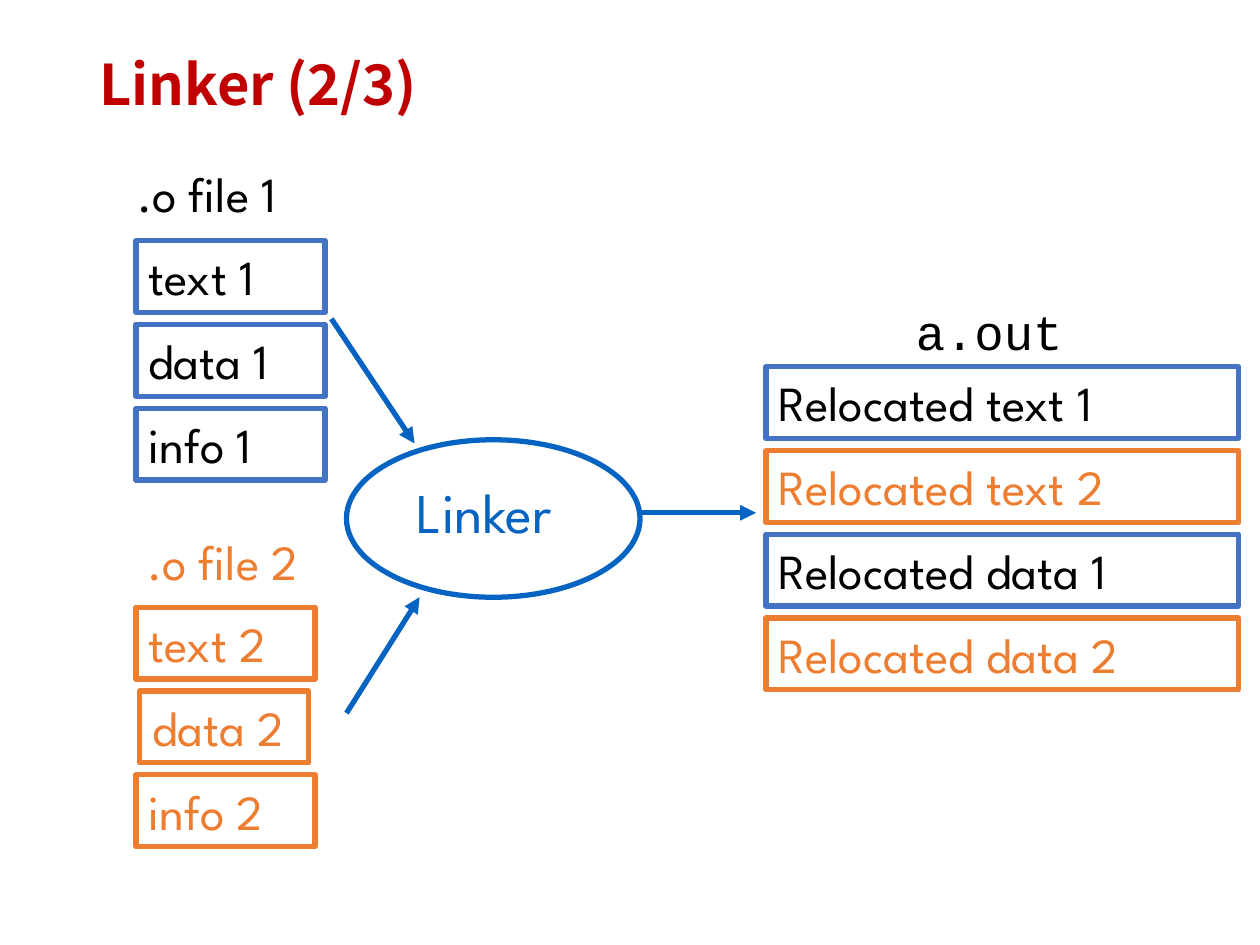
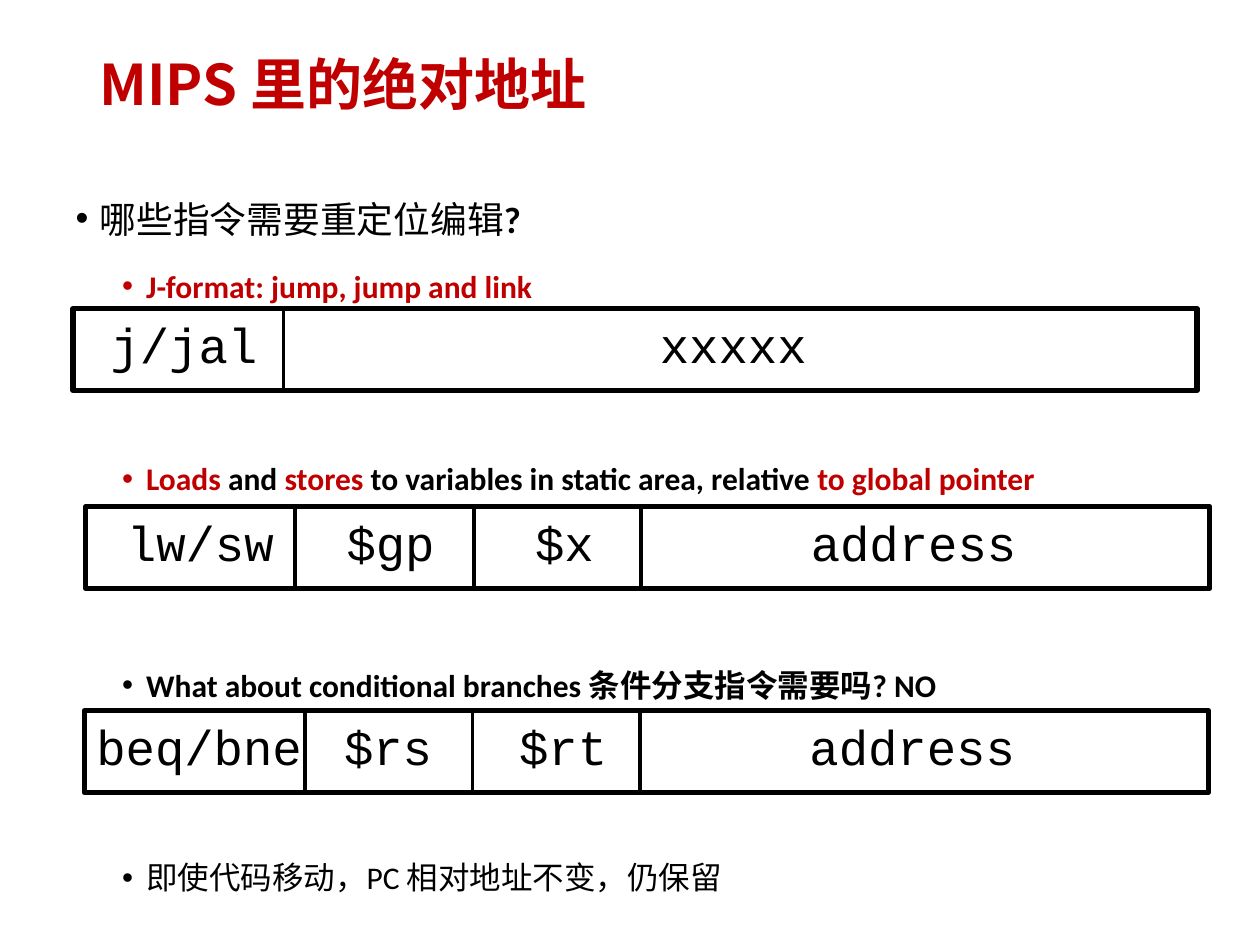
from lxml.etree import SubElement
from pptx import Presentation
from pptx.dml.color import RGBColor
from pptx.enum.shapes import MSO_CONNECTOR, MSO_SHAPE
from pptx.enum.text import MSO_ANCHOR, MSO_AUTO_SIZE, PP_ALIGN
from pptx.oxml.ns import qn
from pptx.util import Inches, Pt

BLACK = RGBColor(0x00, 0x00, 0x00)
RED = RGBColor(0xC0, 0x00, 0x00)
BLUE = RGBColor(0x44, 0x72, 0xC4)
ORANGE = RGBColor(0xED, 0x7D, 0x31)
LINK_BLUE = RGBColor(0x05, 0x63, 0xC1)

TITLE_FONT = "Noto Sans CJK SC"
BODY_FONT = "Calibri"
LABEL_FONT = "League Spartan"
CODE_FONT = "Courier New"

TITLE_ONLY, TITLE_AND_CONTENT = 5, 1
BOX_HEIGHT = 0.57
BOX_STEP = 0.665
FORMAT_WIDTH, FORMAT_HEIGHT = 8.92, 0.65
CODE_CHARACTER_WIDTH = 0.233


def set_attributes(target, values):
    for name, value in values.items():
        setattr(target, name, value)


def place(shape, left, top, width, height):
    set_attributes(shape, {"left": Inches(left), "top": Inches(top),
                           "width": Inches(width), "height": Inches(height)})


def add_span(para, text, size, font, color, bold=False):
    span = para.add_run()
    span.text = text
    set_attributes(span.font, {"size": Pt(size), "name": font, "bold": bold})
    span.font.color.rgb = color
    SubElement(span.font._element, qn("a:ea"), typeface=font)


def write_text(shape, text, size, font, color, align=PP_ALIGN.LEFT, wrap=True):
    frame = shape.text_frame
    set_attributes(frame, {"word_wrap": wrap, "auto_size": MSO_AUTO_SIZE.NONE,
                           "vertical_anchor": MSO_ANCHOR.TOP})
    para = frame.paragraphs[0]
    para.alignment = align
    add_span(para, text, size, font, color)


def add_page(deck, layout, title_text):
    page = deck.slides.add_slide(deck.slide_layouts[layout])
    title = page.shapes.title
    place(title, 0.69, 0.38, 8.63, 0.62)
    set_attributes(title.text_frame, {"auto_size": MSO_AUTO_SIZE.NONE,
                                      "vertical_anchor": MSO_ANCHOR.MIDDLE})
    para = title.text_frame.paragraphs[0]
    set_attributes(para, {"alignment": PP_ALIGN.LEFT, "line_spacing": 0.9})
    add_span(para, title_text, 32, TITLE_FONT, RED, True)
    return page


def add_label(page, text, left, top, width, size=28, font=LABEL_FONT,
              color=BLACK, align=PP_ALIGN.LEFT, wrap=True, height=BOX_HEIGHT):
    label = page.shapes.add_textbox(Inches(left), Inches(top),
                                    Inches(width), Inches(height))
    write_text(label, text, size, font, color, align, wrap)


def add_outline(page, kind, left, top, width, height, color):
    shape = page.shapes.add_shape(kind, Inches(left), Inches(top),
                                  Inches(width), Inches(height))
    shape.shadow.inherit = False
    shape.fill.background()
    shape.line.color.rgb = color
    shape.line.width = Pt(3)
    return shape


def add_section(page, text, left, top, width, line_color, text_color):
    box = add_outline(page, MSO_SHAPE.RECTANGLE, left, top, width,
                      BOX_HEIGHT, line_color)
    write_text(box, text, 28, LABEL_FONT, text_color)


def add_line(page, start, end, color, width, arrow=False):
    line = page.shapes.add_connector(
        MSO_CONNECTOR.STRAIGHT, *(Inches(value) for value in start + end))
    line.line.color.rgb = color
    line.line.width = Pt(width)
    if arrow:
        SubElement(line.line._get_or_add_ln(), qn("a:tailEnd"), type="triangle")
    SubElement(line._element.spPr, qn("a:effectLst"))


def add_bullet(para, level, before, bullet_color, spans):
    size = 18 if level else 21
    set_attributes(para, {"level": level, "line_spacing": 1.25,
                          "space_before": Pt(before), "space_after": Pt(6),
                          "alignment": PP_ALIGN.LEFT})
    properties = para._p.get_or_add_pPr()
    properties.set("marL", str(Inches(0.56 if level else 0.19)))
    properties.set("indent", str(Inches(-0.19)))
    SubElement(SubElement(properties, qn("a:buClr")), qn("a:srgbClr"),
               val=str(bullet_color))
    SubElement(properties, qn("a:buFont"), typeface="Arial")
    SubElement(properties, qn("a:buChar"), char="•")
    for text, color, bold in spans:
        add_span(para, text, size, BODY_FONT, color, bold)


def add_instruction_format(page, left, top, fields, dividers):
    add_outline(page, MSO_SHAPE.RECTANGLE, left, top, FORMAT_WIDTH,
                FORMAT_HEIGHT, BLACK)
    for text, center in fields:
        width = len(text) * CODE_CHARACTER_WIDTH + 0.2
        add_label(page, text, center - width / 2, top, width,
                  font=CODE_FONT, align=PP_ALIGN.CENTER, wrap=False)
    for x in dividers:
        add_line(page, (x, top), (x, top + FORMAT_HEIGHT), BLACK, 2.25)


def build_linker_page(deck):
    page = add_page(deck, TITLE_ONLY, "Linker (2/3)")

    add_label(page, ".o file 1", 0.99, 1.25, 1.51)
    for row, name in enumerate(("text 1", "data 1", "info 1")):
        add_section(page, name, 1.08, 1.91 + row * BOX_STEP, 1.5, BLUE, BLACK)

    add_label(page, ".o file 2", 1.07, 4.17, 1.51, color=ORANGE)
    second_file = (("text 2", 1.08, 1.42), ("data 2", 1.11, 1.34),
                   ("info 2", 1.08, 1.42))
    for row, (name, left, width) in enumerate(second_file):
        add_section(page, name, left, 4.82 + row * BOX_STEP, width,
                    ORANGE, ORANGE)

    add_label(page, "Linker", 3.21, 3.74, 1.49, 32, color=LINK_BLUE, height=0.64)
    add_outline(page, MSO_SHAPE.OVAL, 2.75, 3.49, 2.33, 1.25, LINK_BLUE)
    for start, end in (((2.63, 2.53), (3.29, 3.52)),
                       ((2.75, 5.66), (3.33, 4.74)),
                       ((5.08, 4.07), (6, 4.07))):
        add_line(page, start, end, LINK_BLUE, 3, arrow=True)

    add_label(page, "a.out", 7.17, 2.34, 1.36, font=CODE_FONT, wrap=False)
    relocated = (("text 1", BLUE, BLACK), ("text 2", ORANGE, ORANGE),
                 ("data 1", BLUE, BLACK), ("data 2", ORANGE, ORANGE))
    for row, (name, line_color, text_color) in enumerate(relocated):
        add_section(page, f"Relocated {name}", 6.08, 2.91 + row * BOX_STEP,
                    3.75, line_color, text_color)


def build_address_page(deck):
    page = add_page(deck, TITLE_AND_CONTENT, "MIPS 里的绝对地址")
    body = page.placeholders[1]
    place(body, 0.5, 1.42, 9, 5.83)
    frame = body.text_frame
    set_attributes(frame, {"auto_size": MSO_AUTO_SIZE.NONE, "word_wrap": True,
                           "vertical_anchor": MSO_ANCHOR.TOP})
    bullets = (
        (0, 7.5, BLACK, (("哪些指令需要重定位编辑", BLACK, False),
                         ("?", BLACK, True))),
        (1, 3.7, RED, (("J-format: jump, jump and link", RED, True),)),
        (1, 77, RED, (("Loads", RED, True), (" and ", BLACK, True),
                      ("stores", RED, True),
                      (" to variables in static area, relative ", BLACK, True),
                      ("to global pointer", RED, True))),
        (1, 85, BLACK, (("What about conditional branches 条件分支指令需要吗? NO",
                         BLACK, True),)),
        (1, 77, BLACK, (("即使代码移动，PC 相对地址不变，仍保留", BLACK, False),)),
    )
    for index, bullet in enumerate(bullets):
        para = frame.add_paragraph() if index else frame.paragraphs[0]
        add_bullet(para, *bullet)

    add_instruction_format(page, 0.58, 2.45,
                           (("j/jal", 1.46), ("xxxxx", 5.82)), (2.25,))
    add_instruction_format(page, 0.68, 4.02,
                           (("lw/sw", 1.59), ("$gp", 3.1), ("$x", 4.48),
                            ("address", 7.25)), (2.34, 3.76, 5.09))
    add_instruction_format(page, 0.67, 5.64,
                           (("beq/bne", 1.58), ("$rs", 3.08), ("$rt", 4.47),
                            ("address", 7.24)), (2.42, 3.75, 5.08))


def main():
    deck = Presentation()
    set_attributes(deck, {"slide_width": Inches(10), "slide_height": Inches(7.5)})
    build_linker_page(deck)
    build_address_page(deck)
    deck.save("out.pptx")


if __name__ == "__main__":
    main()
